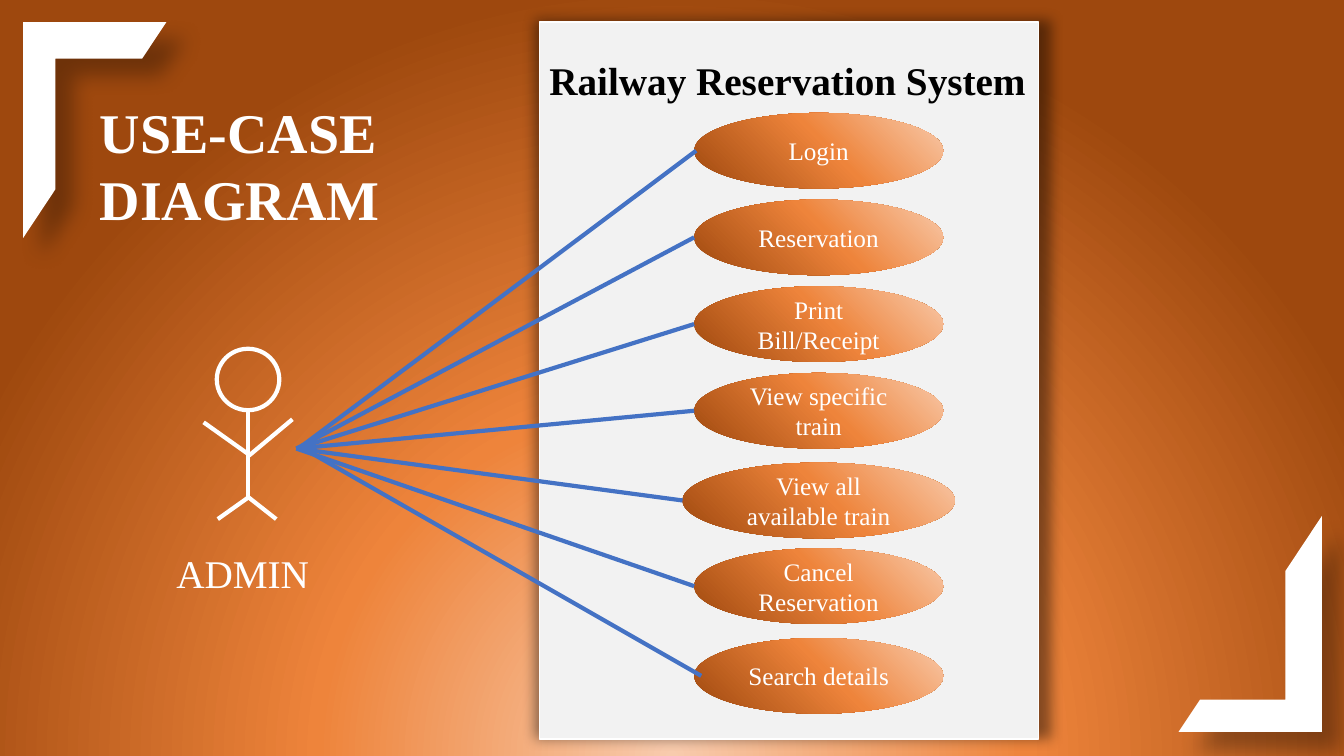
from pptx import Presentation
from pptx.dml.color import RGBColor
from pptx.enum.shapes import MSO_CONNECTOR as Connector, MSO_SHAPE as Shape
from pptx.enum.text import MSO_ANCHOR as Anchor, MSO_AUTO_SIZE as AutoSize, PP_ALIGN as Align
from pptx.oxml import parse_xml
from pptx.oxml.ns import nsdecls, qn
from pptx.util import Inches, Pt

FONT = "Times New Roman"
WHITE, BLACK, PANEL, BLUE = "FFFFFF", "000000", "F2F2F2", "4472C4"
GLOW = ((0, "F8CBAD"), (46, "EE843B"), (100, "9E480E"))

CASE_CENTER, CASE_HEIGHT = 8.12, 0.75
ADMIN_HAND = (2.94, 4.45)
USE_CASES = (
    ("Login", 1.12, 2.47, 0.02),
    ("Reservation", 1.98, 2.47, 0),
    ("Print Bill/Receipt", 2.84, 2.47, 0),
    ("View specific train", 3.7, 2.47, 0),
    ("View all available train", 4.59, 2.7, 0),
    ("Cancel Reservation", 5.44, 2.47, 0),
    ("Search details", 6.33, 2.47, 0.07),
)
ADMIN_LIMBS = (
    ((2.47, 4.52), (2.9, 4.16)),
    ((2.47, 4.51), (2.02, 4.19)),
    ((2.47, 4.93), (2.16, 5.15)),
    ((2.46, 4.93), (2.74, 5.15)),
    ((2.46, 4.07), (2.46, 4.94)),
)


def color(code):
    return RGBColor.from_string(code)


class UseCaseSlide:
    """Hold the style and the current slide, and draw each kind of element."""

    def __init__(self, deck):
        self.page = deck.slides.add_slide(deck.slide_layouts[5])

    def glow(self, holder, focus):
        stops = "".join(
            f'<a:gs pos="{place * 1000}"><a:srgbClr val="{code}"/></a:gs>' for place, code in GLOW
        )
        sides = " ".join(f'{side}="{value * 1000}"' for side, value in zip("ltrb", focus))
        gradient = parse_xml(
            f'<a:gradFill {nsdecls("a")} rotWithShape="1"><a:gsLst>{stops}</a:gsLst>'
            f'<a:path path="circle"><a:fillToRect {sides}/></a:path></a:gradFill>'
        )
        holder.replace(holder.find(qn("a:solidFill")), gradient)

    def background(self, focus):
        fill = self.page.background.fill
        fill.solid()
        fill.fore_color.rgb = color(WHITE)
        self.glow(self.page.element.find(".//" + qn("p:bgPr")), focus)

    def shape(self, kind, area, fill=None, line=None, width=1):
        item = self.page.shapes.add_shape(kind, *map(Inches, area))
        item.shadow.inherit = False
        if fill:
            item.fill.solid()
            item.fill.fore_color.rgb = color(fill)
        else:
            item.fill.background()
        if line:
            item.line.color.rgb = color(line)
            item.line.width = Pt(width)
        else:
            item.line.fill.background()
        return item

    def shadow(self, item, alpha, blur, distance, angle, stretch=100):
        effects = item.element.spPr.find(qn("a:effectLst"))
        effects.append(parse_xml(
            f'<a:outerShdw {nsdecls("a")} blurRad="{Pt(blur)}" dist="{Pt(distance)}" '
            f'dir="{angle * 60000}" sx="{stretch * 1000}" algn="tl" rotWithShape="0">'
            f'<a:srgbClr val="{BLACK}"><a:alpha val="{alpha * 1000}"/></a:srgbClr></a:outerShdw>'
        ))

    def corner(self, area, turned=False):
        item = self.shape(Shape.HALF_FRAME, area, WHITE)
        item.adjustments[0] = 0.255
        item.adjustments[1] = 0.225
        if turned:
            item.rotation = 90
            item.element.spPr.find(qn("a:xfrm")).set("flipH", "1")
        self.shadow(item, 30, 15, 18, 45)

    def put_text(self, box, words, size, code=WHITE, bold=False, align=Align.LEFT, anchor=Anchor.TOP):
        frame = box.text_frame
        frame.word_wrap = True
        frame.vertical_anchor = anchor
        para = frame.paragraphs[0]
        para.alignment = align
        para.line_spacing = 1.0
        span = para.add_run()
        span.text = words
        span.font.name = FONT
        span.font.size = Pt(size)
        span.font.bold = bold
        span.font.color.rgb = color(code)

    def title(self, words, area):
        box = self.page.shapes.title
        box.left, box.top, box.width, box.height = map(Inches, area)
        self.put_text(box, words, 40, bold=True)
        box.text_frame.auto_size = AutoSize.SHAPE_TO_FIT_TEXT

    def label(self, words, area, code=WHITE, bold=False):
        box = self.page.shapes.add_textbox(*map(Inches, area))
        self.put_text(box, words, 28, code, bold)
        box.text_frame.auto_size = AutoSize.SHAPE_TO_FIT_TEXT

    def use_case(self, words, top, width):
        area = (CASE_CENTER - width / 2, top, width, CASE_HEIGHT)
        item = self.shape(Shape.OVAL, area, WHITE)
        self.glow(item.element.spPr, (100, 0, 0, 100))
        self.put_text(item, words, 18, align=Align.CENTER, anchor=Anchor.MIDDLE)

    def line(self, start, end, code):
        item = self.page.shapes.add_connector(Connector.STRAIGHT, *map(Inches, start + end))
        item.line.color.rgb = color(code)
        item.line.width = Pt(3)
        item.element.spPr.append(parse_xml(f'<a:effectLst {nsdecls("a")}/>'))


def main():
    deck = Presentation()
    deck.slide_width, deck.slide_height = Inches(13.33), Inches(7.5)
    slide = UseCaseSlide(deck)
    slide.background((50, 130, 50, -30))
    slide.title("USE-CASE DIAGRAM", (0.89, 0.92, 5.1, 1.45))
    slide.corner((0.23, 0.22, 1.42, 2.14))
    slide.corner((11.33, 5.48, 2.14, 1.42), turned=True)

    panel = slide.shape(Shape.RECTANGLE, (5.35, 0.22, 4.95, 7.11), PANEL, WHITE)
    slide.shadow(panel, 43, 9, 3, 200, stretch=103)
    for words, top, width, shift in USE_CASES:
        slide.use_case(words, top, width)
    for words, top, width, shift in USE_CASES:
        hand_x, hand_y = ADMIN_HAND
        edge = (CASE_CENTER - width / 2 + shift, top + CASE_HEIGHT / 2)
        slide.line((hand_x + shift, hand_y), edge, BLUE)

    slide.label("ADMIN", (1.65, 5.4, 1.59, 0.57))
    slide.shape(Shape.OVAL, (2.15, 3.46, 0.62, 0.61), line=WHITE, width=3)
    for start, end in ADMIN_LIMBS:
        slide.line(start, end, WHITE)
    slide.label("Railway Reservation System", (5.35, 0.51, 5.1, 0.57), BLACK, bold=True)
    deck.save("out.pptx")


if __name__ == "__main__":
    main()
